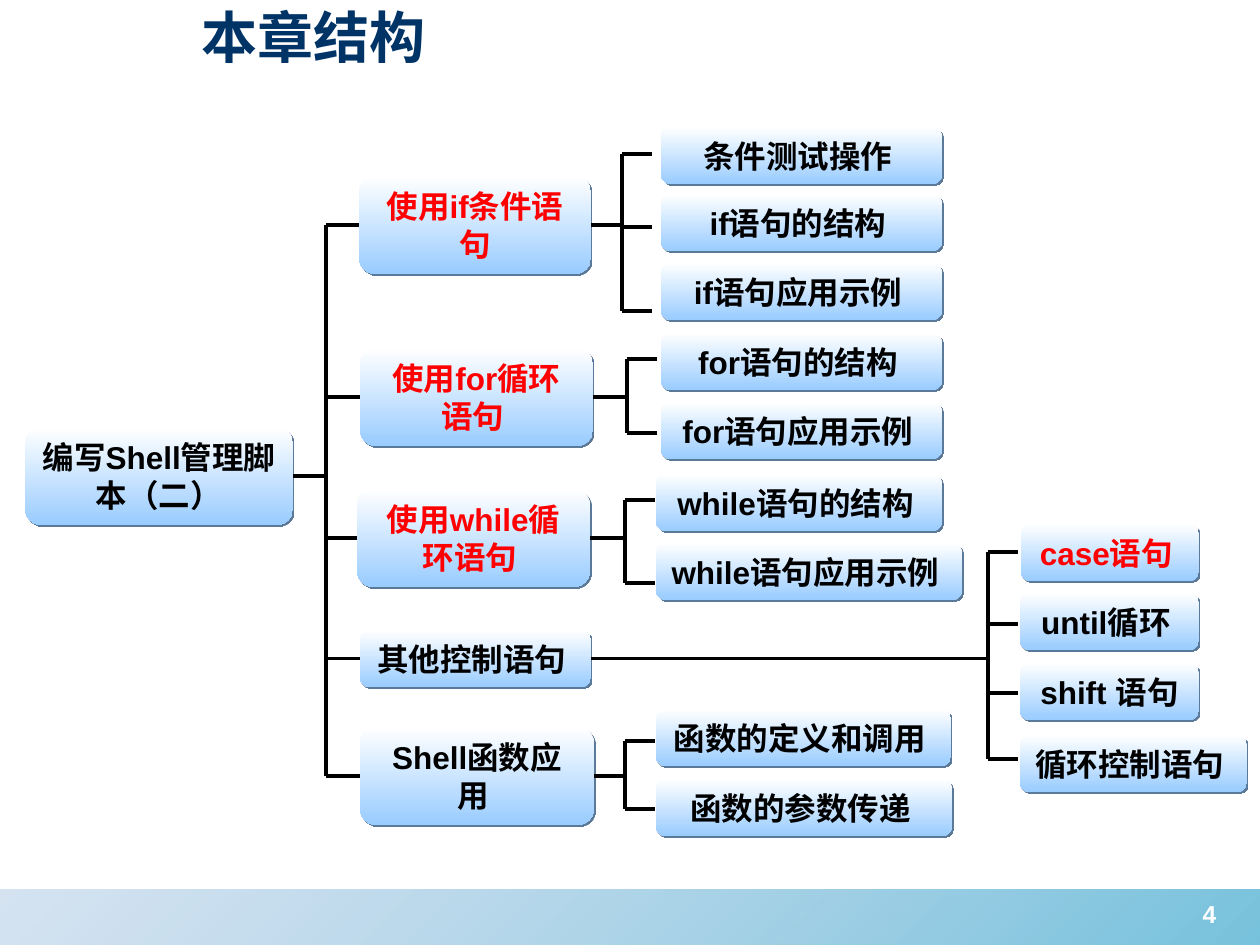
from lxml import etree
from pptx import Presentation
from pptx.dml.color import RGBColor
from pptx.enum.shapes import MSO_CONNECTOR, MSO_SHAPE
from pptx.enum.text import MSO_ANCHOR, MSO_AUTO_SIZE, PP_ALIGN
from pptx.oxml.ns import qn
from pptx.util import Emu, Pt

STRAIGHT = MSO_CONNECTOR.STRAIGHT
RECT, ROUNDED = MSO_SHAPE.RECTANGLE, MSO_SHAPE.ROUNDED_RECTANGLE
LEFT, CENTER = PP_ALIGN.LEFT, PP_ALIGN.CENTER
TOP, MIDDLE = MSO_ANCHOR.TOP, MSO_ANCHOR.MIDDLE
GROW, FIXED = MSO_AUTO_SIZE.SHAPE_TO_FIT_TEXT, MSO_AUTO_SIZE.NONE

PX_PER_INCH = 126
WIDTH, HEIGHT = 1260, 945
BLACK, RED, WHITE, NAVY = "000000", "FF0000", "FFFFFF", "003366"
LEFT_SIDE, RIGHT_SIDE = 1, 3
TOPIC_HEIGHT = 57
TWIG = 30
SPINE_X = 326

ROOT = ("编写Shell管理脚本（二）", BLACK, (25, 427, 268, 98))

# Each branch: chapter, trunk x, then topics as text, colour, x, y, width, twig y.
BRANCHES = [
    (("使用if条件语句", RED, (359, 176, 232, 98)), 622, [
        ("条件测试操作 ", BLACK, 661, 127, 281, 154),
        ("if语句的结构 ", BLACK, 661, 194, 281, 227),
        ("if语句应用示例 ", BLACK, 661, 263, 281, 311)]),
    (("使用for循环语句 ", RED, (360, 348, 233, 98)), 627, [
        ("for语句的结构 ", BLACK, 661, 333, 281, 359),
        ("for语句应用示例 ", BLACK, 661, 402, 281, 433)]),
    (("使用while循环语句 ", RED, (357, 489, 233, 98)), 625, [
        ("while语句的结构 ", BLACK, 656, 474, 286, 500),
        ("while语句应用示例 ", BLACK, 656, 543, 306, 583)]),
    (("其他控制语句 ", BLACK, (360, 630, 231, 57)), 988, [
        ("case语句 ", RED, 1021, 524, 178, 552),
        ("until循环 ", BLACK, 1020, 593, 179, 624),
        ("shift 语句", BLACK, 1020, 663, 179, 693),
        ("循环控制语句 ", BLACK, 1020, 735, 227, 759)]),
    (("Shell函数应用 ", BLACK, (360, 727, 234, 98)), 625, [
        ("函数的定义和调用 ", BLACK, 656, 709, 295, 741),
        ("函数的参数传递 ", BLACK, 656, 779, 296, 809)]),
]


def px(value):
    return Emu(round(value * 914400 / PX_PER_INCH))


def rgb(value):
    return RGBColor.from_string(value)


def place(shape, box):
    shape.left, shape.top, shape.width, shape.height = map(px, box)


def write(shape, text, size=18, color=BLACK, align=CENTER, anchor=MIDDLE, fit=GROW):
    frame = shape.text_frame
    frame.word_wrap = True
    frame.auto_size = fit
    frame.vertical_anchor = anchor
    paragraph = frame.paragraphs[0]
    paragraph.alignment = align
    run = paragraph.add_run()
    run.text = text
    run.font.name = "Arial"
    run.font.size = Pt(size)
    run.font.bold = True
    run.font.color.rgb = rgb(color)


def panel(slide, preset, box, colors, angle):
    shape = slide.shapes.add_shape(preset, *map(px, box))
    shape.shadow.inherit = False
    shape.line.fill.background()
    shape.fill.gradient()
    shape.fill.gradient_angle = angle
    for stop, position, color in zip(shape.fill.gradient_stops, (0, 1), colors):
        stop.position = position
        stop.color.rgb = rgb(color)
    return shape


def node(slide, text, color, box):
    shape = panel(slide, ROUNDED, box, (WHITE, "99CCFF"), 270)
    effects = shape._element.spPr.find(qn("a:effectLst"))
    shadow = etree.SubElement(effects, qn("a:outerShdw"), blurRad="0",
                              dist=str(Pt(1.4)), dir="2700000", algn="ctr", rotWithShape="0")
    etree.SubElement(shadow, qn("a:srgbClr"), val="5B7998")
    write(shape, text, color=color)
    return shape


def line(slide, start, end):
    connector = slide.shapes.add_connector(STRAIGHT, *map(px, start + end))
    connector.line.color.rgb = rgb(BLACK)
    connector.line.width = Pt(2.25)
    etree.SubElement(connector._element.spPr, qn("a:effectLst"))
    return connector


def middle(box):
    left, top, width, height = box
    return top + height / 2


def add_branch(slide, chapter, trunk_x, topics):
    box = chapter[2]
    y = middle(box)
    head = node(slide, *chapter)
    line(slide, (SPINE_X, y), (box[0], y)).end_connect(head, LEFT_SIDE)
    line(slide, (box[0] + box[2], y), (trunk_x, y)).begin_connect(head, RIGHT_SIDE)
    line(slide, (trunk_x, topics[0][-1]), (trunk_x, topics[-1][-1]))
    for text, color, left, top, width, twig_y in topics:
        node(slide, text, color, (left, top, width, TOPIC_HEIGHT))
        line(slide, (trunk_x, twig_y), (trunk_x + TWIG, twig_y))


def add_tree(slide):
    left, _, width, _ = ROOT[2]
    y = middle(ROOT[2])
    root = node(slide, *ROOT)
    line(slide, (left + width, y), (SPINE_X, y)).begin_connect(root, RIGHT_SIDE)
    ends = [middle(BRANCHES[i][0][2]) for i in (0, -1)]
    line(slide, (SPINE_X, ends[0]), (SPINE_X, ends[1]))
    for branch in BRANCHES:
        add_branch(slide, *branch)


def add_title(slide, box):
    title = slide.shapes.title
    place(title, box)
    write(title, "本章结构", size=32, color=NAVY, align=LEFT)


def add_footer(slide, box):
    left, top, width, height = box
    band = panel(slide, RECT, box, ("1C99C6", "88B0D8"), 135)
    colors = band._element.spPr.iter(qn("a:srgbClr"))
    for color, opacity in zip(colors, (60, 35)):
        etree.SubElement(color, qn("a:alpha"), val=str(opacity * 1000))
    number = slide.shapes.add_textbox(*map(px, (left + width - 96, top + 3, 91, 66)))
    write(number, "4", size=14, color=WHITE, anchor=TOP, fit=FIXED)


def main():
    deck = Presentation()
    deck.slide_width, deck.slide_height = px(WIDTH), px(HEIGHT)
    slide = deck.slides.add_slide(deck.slide_layouts[5])
    add_footer(slide, (0, 890, WIDTH, 55))
    add_title(slide, (189, -4, 1017, 81))
    add_tree(slide)
    deck.save("out.pptx")


if __name__ == "__main__":
    main()
